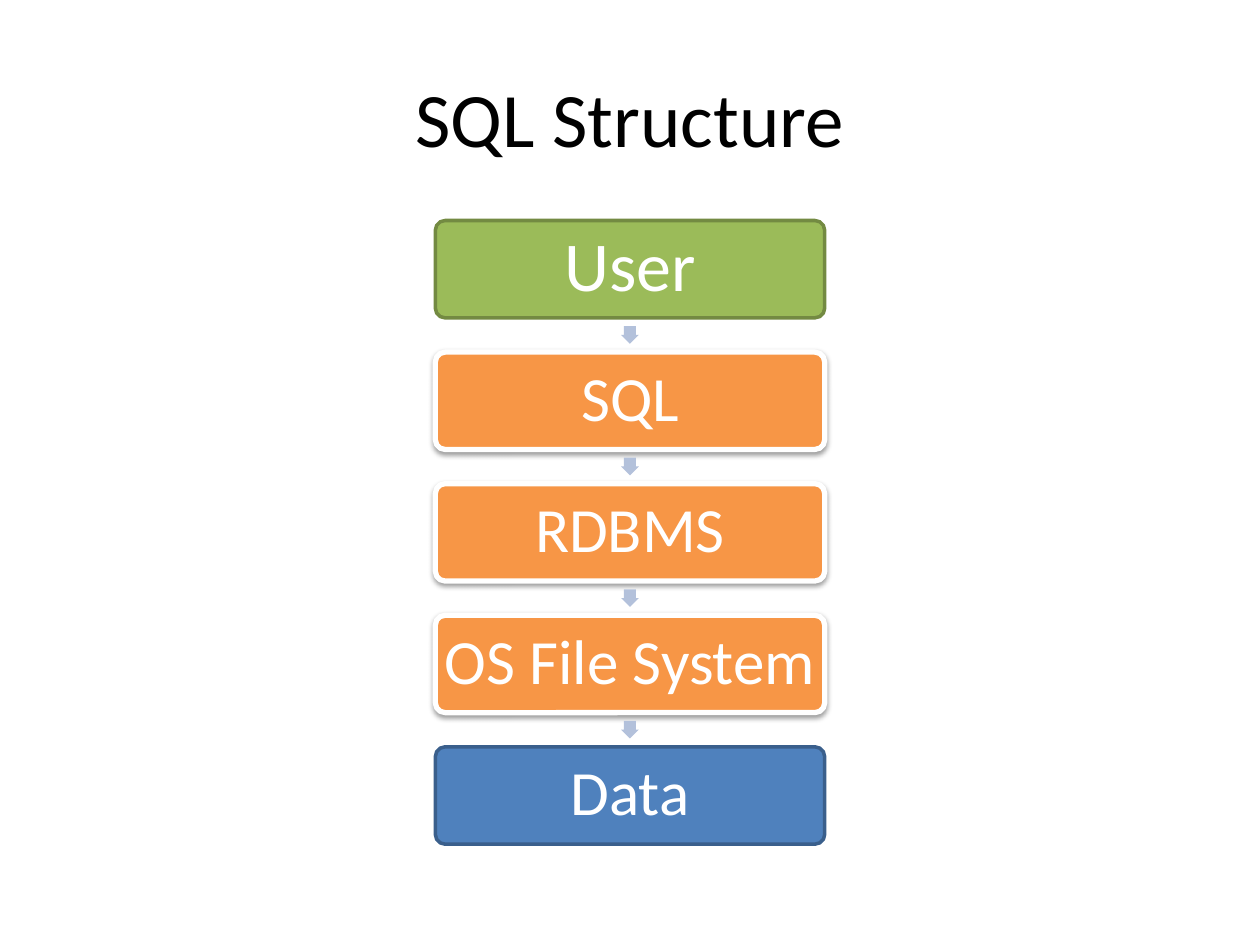
from lxml import etree
from pptx import Presentation
from pptx import util as u
from pptx.dml.color import RGBColor
from pptx.enum import shapes, text
from pptx.oxml import ns

COLORS = {
    "ink": "000000", "white": "FFFFFF", "arrow": "B3C1DB", "shadow": "000000",
    "green": "9BBB59", "green_edge": "738A42",
    "orange": "F79646",
    "blue": "4F81BD", "blue_edge": "3A5F8C",
}
# label, fill, edge, edge width, text size, inset, raised by a shadow
LAYERS = [
    ("User", "green", "green_edge", 2, 40, 0.06, False),
    ("SQL", "orange", "white", 3, 36, 0.05, True),
    ("RDBMS", "orange", "white", 3, 36, 0.05, True),
    ("OS File System", "orange", "white", 3, 36, 0.05, True),
    ("Data", "blue", "blue_edge", 2, 36, 0.05, False),
]
LAYER_SHARE = 0.74  # part of each row taken by its layer; the arrow gets the rest
ARROW_SIZE = 0.14


def rgb(name):
    return RGBColor.from_string(COLORS[name])


def write(holder, words, size, color, inset=None, spacing=None, wrap=True):
    frame = holder.text_frame
    frame.word_wrap = wrap
    frame.vertical_anchor = text.MSO_ANCHOR.MIDDLE
    if inset is not None:
        frame.margin_left = frame.margin_right = u.Inches(inset)
        frame.margin_top = frame.margin_bottom = u.Inches(inset)
    paragraph = frame.paragraphs[0]
    paragraph.alignment = text.PP_ALIGN.CENTER
    paragraph.line_spacing = spacing
    run = paragraph.add_run()
    run.text = words
    run.font.name = "Calibri"
    run.font.size = u.Pt(size)
    run.font.color.rgb = rgb(color)


def add_solid(slide, preset, box, fill):
    solid = slide.shapes.add_shape(preset, *map(u.Inches, box))
    solid.shadow.inherit = False
    solid.fill.solid()
    solid.fill.fore_color.rgb = rgb(fill)
    solid.line.fill.background()
    return solid


def cast_shadow(layer):
    effects = layer._element.spPr.find(ns.qn("a:effectLst"))
    shadow = etree.SubElement(
        effects, ns.qn("a:outerShdw"), blurRad=str(u.Pt(3.1)),
        dist=str(u.Pt(1.6)), dir="5400000", rotWithShape="0")
    color = etree.SubElement(shadow, ns.qn("a:srgbClr"), val=COLORS["shadow"])
    etree.SubElement(color, ns.qn("a:alpha"), val="38000")


def add_title(slide, box, words):
    title = slide.shapes.title
    title.left, title.top, title.width, title.height = map(u.Inches, box)
    write(title, words, 44, "ink")


def add_layer(slide, box, label, fill, edge, edge_width, size, inset, raised):
    layer = add_solid(slide, shapes.MSO_SHAPE.ROUNDED_RECTANGLE, box, fill)
    layer.adjustments[0] = 0.1
    layer.line.color.rgb = rgb(edge)
    layer.line.width = u.Pt(edge_width)
    if raised:
        cast_shadow(layer)
    write(layer, label, size, "white", inset=inset, spacing=0.9, wrap=False)


def add_arrow(slide, box):
    """Centre a small down arrow in the gap between two layers."""
    left, top, width, height = box
    arrow = add_solid(
        slide, shapes.MSO_SHAPE.DOWN_ARROW,
        (left + (width - ARROW_SIZE) / 2, top + (height - ARROW_SIZE) / 2,
         ARROW_SIZE, ARROW_SIZE), "arrow")
    arrow.adjustments[0] = 0.67
    arrow.adjustments[1] = 0.5


def add_stack(slide, box, layers):
    left, top, width, height = box
    pitch = height / (len(layers) - 1 + LAYER_SHARE)
    layer_height = pitch * LAYER_SHARE
    for row, layer in enumerate(layers):
        y = top + row * pitch
        if row:
            gap = pitch - layer_height
            add_arrow(slide, (left, y - gap, width, gap))
        add_layer(slide, (left, y, width, layer_height), *layer)


def main():
    deck = Presentation()
    wide, high = 10, 7.5
    deck.slide_width, deck.slide_height = u.Inches(wide), u.Inches(high)
    slide = deck.slides.add_slide(deck.slide_layouts[5])
    add_title(slide, (0.05 * wide, 0.04 * high, 0.9 * wide, high / 6),
              "SQL Structure")
    stack_width = 3.09
    add_stack(slide, ((wide - stack_width) / 2, 1.75, stack_width, 4.95), LAYERS)
    deck.save("out.pptx")


if __name__ == "__main__":
    main()
